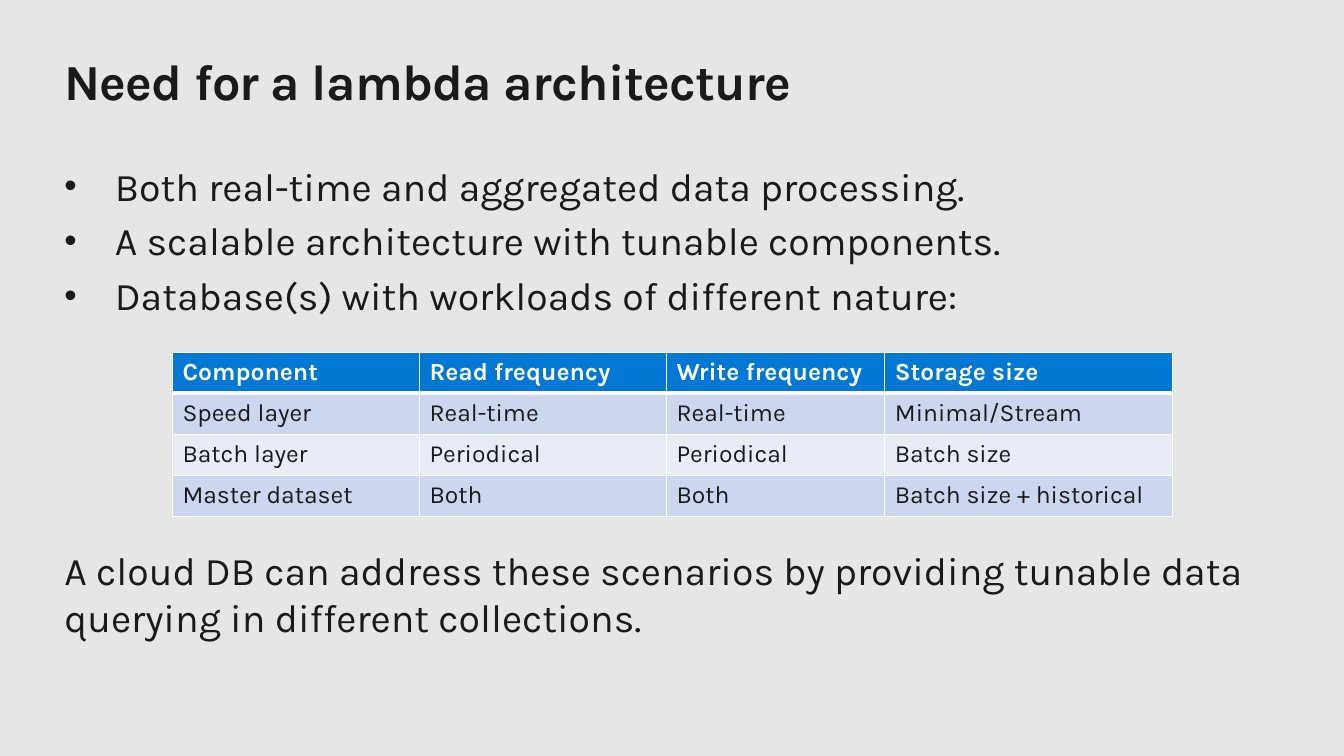
"""Builds the slide on why a lambda architecture is needed."""
from dataclasses import dataclass

from lxml.etree import SubElement
from pptx import Presentation
from pptx.dml.color import RGBColor
from pptx.enum.text import MSO_ANCHOR, MSO_AUTO_SIZE, PP_ALIGN
from pptx.oxml.ns import qn
from pptx.slide import Slide
from pptx.table import _Cell
from pptx.text.text import TextFrame, _Paragraph
from pptx.util import Inches, Pt

SLIDE_WIDTH, SLIDE_HEIGHT = Inches(13.33), Inches(7.5)
COLUMN, ROW = SLIDE_WIDTH / 100, SLIDE_HEIGHT / 100
MARGIN, CONTENT_WIDTH = 4.8, 90.4
FONT = "Karla"
INK, WHITE, BACKGROUND = "1A1A1A", "FFFFFF", "E6E6E6"
HEADER_FILL, BAND_FILLS = "0078D4", ("CCD6EF", "E7ECF7")


@dataclass(frozen=True)
class BodyText:
    top: float
    height: float
    lines: tuple[str, ...]
    bulleted: bool


@dataclass(frozen=True)
class TableColumn:
    width: float
    cells: tuple[str, ...]


TITLE = "Need for a lambda architecture"
BODY_TEXTS = (
    BodyText(21.4, 22, (
        "Both real-time and aggregated data processing.",
        "A scalable architecture with tunable components.",
        "Database(s) with workloads of different nature:",
    ), True),
    BodyText(72.2, 13, (
        "A cloud DB can address these scenarios by providing tunable data "
        "querying in different collections.",
    ), False),
)
TABLE_LEFT, TABLE_TOP, TABLE_ROW = 12.83, 46.6, 5.43
TABLE_COLUMNS = (
    TableColumn(18.38, ("Component", "Speed layer", "Batch layer", "Master dataset")),
    TableColumn(18.38, ("Read frequency", "Real-time", "Periodical", "Both")),
    TableColumn(16.25, ("Write frequency", "Real-time", "Periodical", "Both")),
    TableColumn(21.38, ("Storage size", "Minimal/Stream", "Batch size",
                        "Batch size + historical")),
)


def color(value: str) -> RGBColor:
    """Turn a hex string into a colour."""
    return RGBColor.from_string(value)


def across(columns: float) -> int:
    """Turn grid columns into a length."""
    return round(columns * COLUMN)


def down(rows: float) -> int:
    """Turn grid rows into a length."""
    return round(rows * ROW)


def set_font(para: _Paragraph, size: float, ink: str = INK, bold: bool = False) -> None:
    """Set the font of a whole paragraph."""
    font = para.font
    font.name, font.size, font.bold = FONT, Pt(size), bold
    font.color.rgb = color(ink)


def prepare_frame(frame: TextFrame) -> None:
    """Wrap the text from the top left corner without insets."""
    frame.word_wrap = True
    frame.auto_size = MSO_AUTO_SIZE.NONE
    frame.vertical_anchor = MSO_ANCHOR.TOP
    frame.margin_left = frame.margin_right = 0
    frame.margin_top = frame.margin_bottom = 0


def add_bullet(para: _Paragraph) -> None:
    """Give a paragraph a hanging round bullet."""
    properties = para._p.get_or_add_pPr()
    properties.set("marL", str(Inches(0.5)))
    properties.set("indent", str(-Inches(0.5)))
    SubElement(properties, qn("a:buSzPct"), val="90000")
    SubElement(properties, qn("a:buFont"), typeface="Arial")
    SubElement(properties, qn("a:buChar"), char="•")


def add_title(page: Slide) -> None:
    """Place and format the title."""
    title = page.shapes.title
    title.left, title.top = across(MARGIN), down(6.67)
    title.width, title.height = across(CONTENT_WIDTH), down(8.13)
    prepare_frame(title.text_frame)
    para = title.text_frame.paragraphs[0]
    para.alignment = PP_ALIGN.LEFT
    span = para.add_run()
    span.text = TITLE
    span._r.get_or_add_rPr().set("spc", "-50")
    set_font(para, 36, bold=True)


def add_body_text(page: Slide, body: BodyText) -> None:
    """Add a box of body paragraphs."""
    box = page.shapes.add_textbox(across(MARGIN), down(body.top),
                                  across(CONTENT_WIDTH), down(body.height))
    frame = box.text_frame
    prepare_frame(frame)
    for index, line in enumerate(body.lines):
        para = frame.add_paragraph() if index else frame.paragraphs[0]
        para.text = line
        if index:
            para.space_before = Pt(5.6)
        if body.bulleted:
            add_bullet(para)
        set_font(para, 28)


def add_borders(cell: _Cell, row: int) -> None:
    """Draw white cell borders, heavier between header and body."""
    properties = cell._tc.get_or_add_tcPr()
    widths = {"L": 1, "R": 1, "T": 3 if row == 1 else 1, "B": 3 if row == 0 else 1}
    for side, width in widths.items():
        border = SubElement(properties, qn(f"a:ln{side}"), w=str(Pt(width)))
        fill = SubElement(border, qn("a:solidFill"))
        SubElement(fill, qn("a:srgbClr"), val=WHITE)


def add_component_table(page: Slide) -> None:
    """Add the table of component workloads."""
    row_count = len(TABLE_COLUMNS[0].cells)
    total_width = sum(column.width for column in TABLE_COLUMNS)
    table = page.shapes.add_table(
        row_count, len(TABLE_COLUMNS), across(TABLE_LEFT), down(TABLE_TOP),
        across(total_width), down(TABLE_ROW * row_count)).table
    for row in table.rows:
        row.height = down(TABLE_ROW)
    for column_index, column in enumerate(TABLE_COLUMNS):
        table.columns[column_index].width = across(column.width)
        for row_index, text in enumerate(column.cells):
            is_header = row_index == 0
            cell = table.cell(row_index, column_index)
            cell.text = text
            add_borders(cell, row_index)
            cell.fill.solid()
            cell.fill.fore_color.rgb = color(
                HEADER_FILL if is_header else BAND_FILLS[(row_index - 1) % 2])
            set_font(cell.text_frame.paragraphs[0], 17.6,
                     WHITE if is_header else INK, is_header)


def main() -> None:
    """Build and save the deck."""
    deck = Presentation()
    deck.slide_width, deck.slide_height = SLIDE_WIDTH, SLIDE_HEIGHT
    page = deck.slides.add_slide(deck.slide_layouts.get_by_name("Title Only"))
    page.background.fill.solid()
    page.background.fill.fore_color.rgb = color(BACKGROUND)
    add_title(page)
    for body in BODY_TEXTS:
        add_body_text(page, body)
    add_component_table(page)
    deck.save("out.pptx")


if __name__ == "__main__":
    main()
